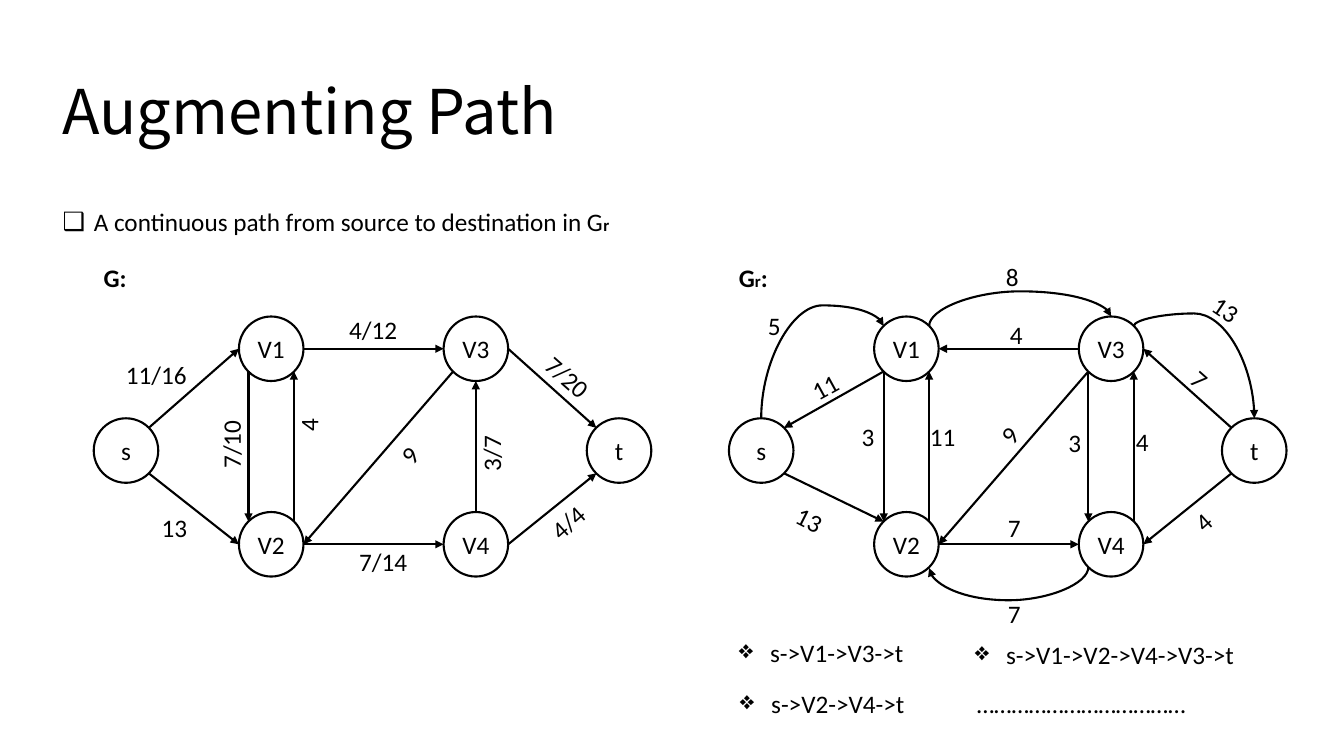
from lxml import etree
from pptx import Presentation
from pptx.dml.color import RGBColor
from pptx.enum.shapes import MSO_CONNECTOR, MSO_SHAPE
from pptx.enum.text import MSO_ANCHOR, PP_ALIGN
from pptx.oxml.ns import qn
from pptx.util import Inches, Pt

STRAIGHT, CURVE = MSO_CONNECTOR.STRAIGHT, MSO_CONNECTOR.CURVE
OVAL = MSO_SHAPE.OVAL
MIDDLE = MSO_ANCHOR.MIDDLE
LEFT, CENTER = PP_ALIGN.LEFT, PP_ALIGN.CENTER

BLACK = "000000"
TITLE_FONT, TEXT_FONT = "Noto Sans CJK SC", "Calibri"
RADIUS, DIAGONAL = 0.32, 0.225
TEXT_H = 0.4

PORTS = {
    "N": (0, -RADIUS), "E": (RADIUS, 0), "W": (-RADIUS, 0),
    "NE": (DIAGONAL, -DIAGONAL), "NW": (-DIAGONAL, -DIAGONAL),
    "SE": (DIAGONAL, DIAGONAL), "SW": (-DIAGONAL, DIAGONAL),
}
# Node centres, label centres and bends are measured from the graph's top left.
NODES = {
    "s": (0.32, 1.92), "V1": (1.76, 0.91), "V2": (1.76, 2.85),
    "V3": (3.79, 0.91), "V4": (3.79, 2.85), "t": (5.21, 1.92),
}
# from, port, to, port, label, label x, label y, label rotation, bend height
FLOW_EDGES = [
    ("s", "NE", "V1", "W", "11/16", 0.62, 1.17, 0),
    ("s", "SE", "V2", "W", "13", 0.8, 2.68, 0),
    ("V1", "SW", "V2", "NW", "7/10", 1.36, 1.86, 270),
    ("V2", "NE", "V1", "SE", "4", 2.13, 1.67, 270),
    ("V1", "E", "V3", "W", "4/12", 2.77, 0.72, 0),
    ("V2", "E", "V4", "W", "7/14", 2.87, 3.02, 0),
    ("V3", "SW", "V2", "E", "9", 3.13, 1.96, 311.6),
    ("V4", "N", "V3", "S", "3/7", 3.94, 1.95, 270),
    ("V3", "E", "t", "NW", "7/20", 4.7, 1.19, 41.5),
    ("V4", "E", "t", "SW", "4/4", 4.7, 2.63, 318.3),
]
PORTS["S"] = (0, RADIUS)
RESIDUAL_EDGES = [
    ("s", "N", "V1", "NW", "5", 0.45, 0.68, 0, 0.48),
    ("V1", "SW", "s", "NE", "11", 0.95, 1.29, 331.1),
    ("V1", "NE", "V3", "N", "8", 2.81, 0.19, 0, 0.34),
    ("V3", "W", "V1", "E", "4", 2.85, 0.77, 0),
    ("V3", "NE", "t", "N", "13", 4.93, 0.52, 33.8, 0.56),
    ("t", "NW", "V3", "E", "7", 4.67, 1.21, 41.6),
    ("s", "SE", "V2", "NW", "13", 0.8, 2.6, 26.8),
    ("V3", "SW", "V2", "E", "9", 2.78, 1.77, 310.8),
    ("V2", "E", "V4", "W", "7", 2.83, 2.68, 0),
    ("V4", "SW", "V2", "SE", "7", 2.83, 3.54, 0, 3.41),
    ("t", "SW", "V4", "E", "4", 4.7, 2.63, 317.9),
    ("V3", "SW", "V4", "NW", "3", 3.43, 1.84, 0),
    ("V4", "NE", "V3", "SE", "4", 4.1, 1.83, 0),
    ("V1", "SW", "V2", "NW", "3", 1.38, 1.78, 0),
    ("V2", "NE", "V1", "SE", "11", 2.12, 1.78, 0),
]
PATHS = [
    (7.23, 6.27, 1.85, "s->V1->V3->t", "❖"),
    (9.57, 6.29, 2.8, "s->V1->V2->V4->V3->t", "❖"),
    (7.24, 6.78, 1.85, "s->V2->V4->t", "❖"),
    (9.59, 6.78, 2.3, "………………………………", None),
]


def rgb(value):
    return RGBColor.from_string(value)


def place(shape, x, y, w, h):
    shape.left, shape.top, shape.width, shape.height = map(Inches, (x, y, w, h))


def add_run(p, text, size=18, bold=False, font=TEXT_FONT):
    r = p.add_run()
    r.text = text
    r.font.size, r.font.bold, r.font.name = Pt(size), bold, font
    r.font.color.rgb = rgb(BLACK)


def add_text(s, x, y, w, align=LEFT):
    """Add an empty one-line text box; return it with its paragraph."""
    box = s.shapes.add_textbox(*map(Inches, (x, y, w, TEXT_H)))
    box.text_frame.word_wrap = False
    p = box.text_frame.paragraphs[0]
    p.alignment = align
    return box, p


def set_bullet(p, char):
    pPr = p._p.get_or_add_pPr()
    pPr.set("marL", str(Inches(0.31)))
    pPr.set("indent", str(-Inches(0.31)))
    etree.SubElement(pPr, qn("a:buChar")).set("char", char)


def add_node(s, name, cx, cy):
    node = s.shapes.add_shape(OVAL, 0, 0, 0, 0)
    place(node, cx - RADIUS, cy - RADIUS, 2 * RADIUS, 2 * RADIUS)
    node.shadow.inherit = False
    node.fill.background()
    node.line.color.rgb, node.line.width = rgb(BLACK), Pt(1.5)
    tf = node.text_frame
    tf.margin_left = tf.margin_right = tf.margin_top = tf.margin_bottom = 0
    tf.word_wrap, tf.vertical_anchor = False, MIDDLE
    tf.paragraphs[0].alignment = CENTER
    add_run(tf.paragraphs[0], name)


def bend_curve(line, x1, y1, x2, y2, bend_y):
    """Turn a curved connector upright so that both ends meet height bend_y."""
    w, h = abs(y2 - y1), abs(x2 - x1)
    place(line, (x1 + x2 - w) / 2, (y1 + y2 - h) / 2, w, h)
    right, down = x2 > x1, y2 > y1
    turn = 270 if right and down else 90
    spPr = line._element.spPr
    xfrm = spPr.find(qn("a:xfrm"))
    xfrm.set("rot", str(turn * 60000))
    xfrm.set("flipH", str(int(down == (turn == 270))))
    xfrm.set("flipV", str(int(right == (turn == 90))))
    guide = etree.SubElement(spPr.find(qn("a:prstGeom")).find(qn("a:avLst")), qn("a:gd"))
    guide.set("name", "adj1")
    guide.set("fmla", f"val {round((bend_y - y1) / (y2 - y1) * 100000)}")


def add_arrow(s, x1, y1, x2, y2, bend_y=None):
    kind = STRAIGHT if bend_y is None else CURVE
    line = s.shapes.add_connector(kind, *map(Inches, (x1, y1, x2, y2)))
    if bend_y is not None:
        # A level curve needs a little height for its bend to be a ratio of it.
        bend_curve(line, x1, y1, x2, y2 if abs(y2 - y1) > 0.01 else y1 + 0.01, bend_y)
    line.line.color.rgb, line.line.width = rgb(BLACK), Pt(1.5)
    etree.SubElement(line.line._get_or_add_ln(), qn("a:tailEnd")).set("type", "triangle")
    etree.SubElement(line._element.spPr, qn("a:effectLst"))


def add_graph(s, x, y, caption, edges):
    _, p = add_text(s, x, y, 0.49)
    for text, size in caption:
        add_run(p, text, size, True)
    for name, (cx, cy) in NODES.items():
        add_node(s, name, x + cx, y + cy)
    for start, out, end, into, label, lx, ly, turn, *bend in edges:
        (x1, y1), (x2, y2) = (
            (x + NODES[n][0] + PORTS[d][0], y + NODES[n][1] + PORTS[d][1])
            for n, d in ((start, out), (end, into)))
        add_arrow(s, x1, y1, x2, y2, y + bend[0] if bend else None)
        w = 0.2 + 0.13 * len(label)
        box, p = add_text(s, x + lx - w / 2, y + ly - TEXT_H / 2, w, CENTER)
        box.rotation = turn
        add_run(p, label)


def add_heading(s):
    title, body = s.shapes.title, s.placeholders[1]
    place(title, 0.52, 0.41, 11.5, 1.45)
    title.text_frame.vertical_anchor = MIDDLE
    p = title.text_frame.paragraphs[0]
    p.alignment, p.line_spacing = LEFT, 0.9
    add_run(p, "Augmenting Path", 44, font=TITLE_FONT)

    place(body, 0.52, 2, 5.7, TEXT_H)
    body.text_frame.word_wrap = False
    p = body.text_frame.paragraphs[0]
    p.space_before = Pt(0)
    set_bullet(p, "❑")
    add_run(p, "A continuous path from source to destination in G")
    add_run(p, "r", 12, True)


def add_paths(s):
    for x, y, w, text, bullet in PATHS:
        _, p = add_text(s, x, y, w)
        if bullet:
            set_bullet(p, bullet)
        add_run(p, text)


def main():
    prs = Presentation()
    prs.slide_width, prs.slide_height = Inches(13.33), Inches(7.5)
    s = prs.slides.add_slide(prs.slide_layouts[1])
    add_heading(s)
    add_graph(s, 0.93, 2.55, [("G:", 18)], FLOW_EDGES)
    add_graph(s, 7.23, 2.55, [("G", 18), ("r", 12), (":", 18)], RESIDUAL_EDGES)
    add_paths(s)
    prs.save("out.pptx")


if __name__ == "__main__":
    main()
